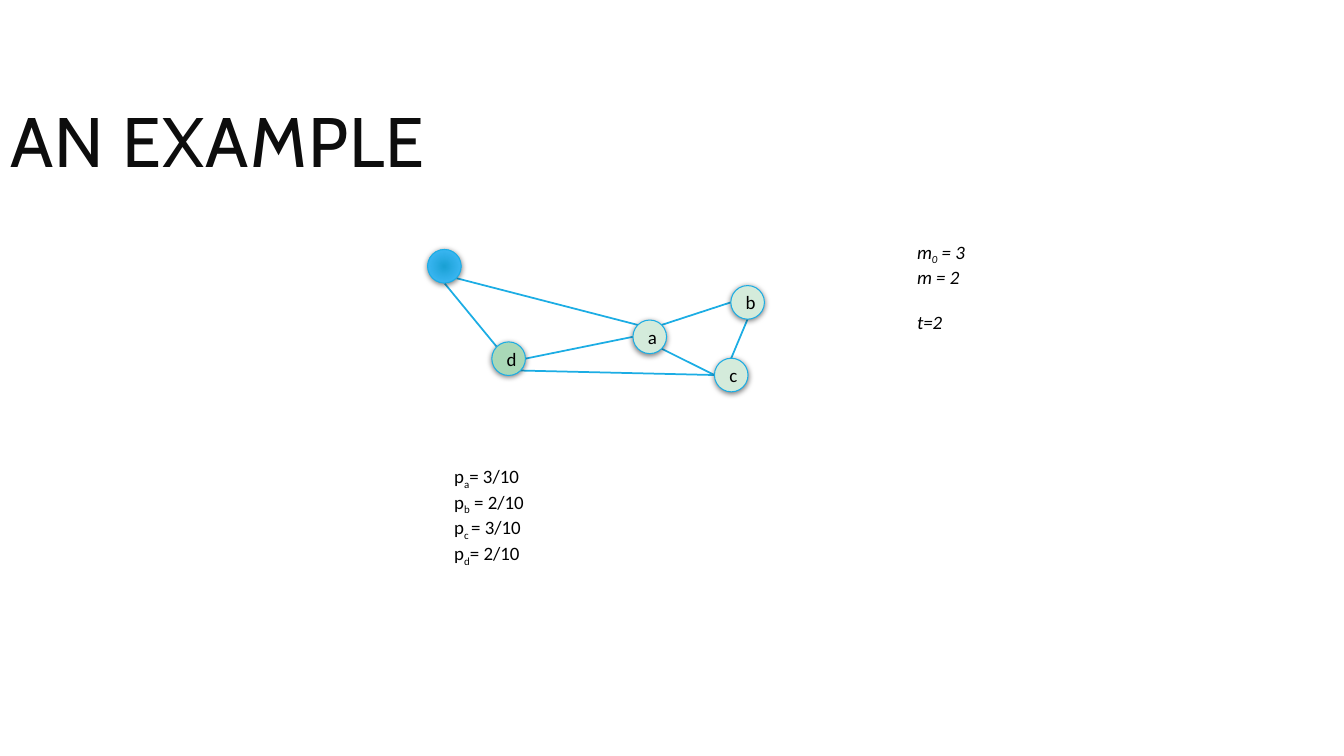
import math

from lxml import etree
from pptx import Presentation
from pptx import util as u
from pptx.dml.color import RGBColor
from pptx.enum import shapes, text
from pptx.oxml import parse_xml
from pptx.oxml.ns import nsdecls, qn

COLS, ROWS = 160, 90
NODE_SIZE = 4
BLUE = "1CADE4"
PALE, GREEN = "D4EBDB", "A9D8B7"

# Angle of each point on a node's rim, clockwise from the right
RIM = {"right": 0, "lower right": 45, "bottom": 90, "left": 180,
       "upper left": 225, "top": 270, "upper right": 315}

# Node name: centre column, centre row, fill (None is the gradient)
NODES = {
    "a": (77.35, 40.1, PALE),
    "c": (87.05, 44.65, PALE),
    "b": (89, 36, PALE),
    "d": (60.55, 42.7, GREEN),
    "": (52.9, 31.7, None),
}
EDGES = [
    ("a", "upper right", "b", "left"),
    ("a", "lower right", "c", "left"),
    ("b", "bottom", "c", "top"),
    ("d", "right", "a", "left"),
    ("d", "lower right", "c", "left"),
    ("", "lower right", "a", "upper left"),
    ("", "bottom", "d", "upper left"),
]


def colour(hex_code):
    return RGBColor.from_string(hex_code)


def rim_point(name, side):
    x, y, _ = NODES[name]
    angle = math.radians(RIM[side])
    radius = NODE_SIZE / 2
    return x + radius * math.cos(angle), y + radius * math.sin(angle)


class GraphSlide:
    """A title-only slide laid out on a grid of COLS by ROWS square cells."""

    title_font, body_font, body_size = "Cabin", "Calibri", 13.5

    def __init__(self, prs):
        self.cell = prs.slide_width / COLS
        self.s = prs.slides.add_slide(prs.slide_layouts[5])

    def grid(self, *cells):
        return [u.Emu(round(n * self.cell)) for n in cells]

    def style(self, r, italic=None):
        r.font.name, r.font.size = self.body_font, u.Pt(self.body_size)
        r.font.color.rgb = colour("000000")
        r.font.italic = italic

    def title(self, words, *box):
        sp = self.s.shapes.title
        sp.left, sp.top, sp.width, sp.height = self.grid(*box)
        tf = sp.text_frame
        tf.text = words
        tf.word_wrap = True
        tf.auto_size = text.MSO_AUTO_SIZE.NONE
        tf.vertical_anchor = text.MSO_ANCHOR.MIDDLE
        p = tf.paragraphs[0]
        p.alignment, p.line_spacing = text.PP_ALIGN.LEFT, 0.8
        r = p.runs[0]
        r.font.name, r.font.size = self.title_font, u.Pt(50)
        r.font.color.rgb = colour("0D0D0D")
        r.font._element.set("spc", "100")

    def edge(self, start, end):
        line = self.s.shapes.add_connector(
            shapes.MSO_CONNECTOR.STRAIGHT, *self.grid(*start, *end))
        line.line.color.rgb = colour(BLUE)
        line.line.width = u.Pt(1.25)
        etree.SubElement(line._element.spPr, qn("a:effectLst"))

    def node(self, name, x, y, fill):
        half = NODE_SIZE / 2
        sp = self.s.shapes.add_shape(
            shapes.MSO_SHAPE.OVAL,
            *self.grid(x - half, y - half, NODE_SIZE, NODE_SIZE))
        if fill:
            sp.fill.solid()
            sp.fill.fore_color.rgb = colour(fill)
        else:
            self.radial_fill(sp, "1AA1D4", "48BFFF")
        sp.line.color.rgb = colour(BLUE)
        sp.line.width = u.Pt(0.75)
        self.soft_shadow(sp)
        if name:
            tf = sp.text_frame
            tf.text = name
            tf.vertical_anchor = text.MSO_ANCHOR.MIDDLE
            p = tf.paragraphs[0]
            p.alignment = text.PP_ALIGN.CENTER
            self.style(p.runs[0])

    def radial_fill(self, sp, first, last):
        sp.fill.gradient()
        for stop, hex_code in zip(sp.fill.gradient_stops, (first, last)):
            stop.color.rgb = colour(hex_code)
        grad = sp._element.spPr.find(qn("a:gradFill"))
        grad.replace(grad.find(qn("a:lin")), parse_xml(
            f'<a:path {nsdecls("a")} path="circle"><a:fillToRect '
            'l="100000" t="100000" r="100000" b="100000"/></a:path>'))

    def soft_shadow(self, sp):
        sp.shadow.inherit = False
        sp._element.spPr.find(qn("a:effectLst")).append(parse_xml(
            f'<a:outerShdw {nsdecls("a")} blurRad="{u.Pt(4)}" '
            f'dist="{u.Pt(1)}" dir="5400000" rotWithShape="0">'
            '<a:srgbClr val="000000"><a:alpha val="50000"/></a:srgbClr>'
            '</a:outerShdw>'))

    def formulas(self, lines, box, italic=None):
        """Add a text box; underscores enclose the subscript in a line."""
        tf = self.s.shapes.add_textbox(*self.grid(*box)).text_frame
        tf.word_wrap = True
        for i, line in enumerate(lines):
            p = tf.add_paragraph() if i else tf.paragraphs[0]
            for j, part in enumerate(line.split("_")):
                r = p.add_run()
                r.text = part
                self.style(r, italic)
                if j % 2:
                    r.font._element.set("baseline", "-25000")
        return tf


def main():
    prs = Presentation()
    prs.slide_width, prs.slide_height = u.Inches(13.333), u.Inches(7.5)
    page = GraphSlide(prs)
    page.title("AN EXAMPLE", 0, 7.7, 127.6, 19.7)
    for start, start_side, end, end_side in EDGES:
        page.edge(rim_point(start, start_side), rim_point(end, end_side))
    for name, (x, y, fill) in NODES.items():
        page.node(name, x, y, fill)
    settings = page.formulas(["m_0_ = 3", "m = 2", "t=2"],
                             (108, 28, 19.4, 12.1), italic=True)
    settings.paragraphs[-1].space_before = u.Pt(16)
    page.formulas(["p_a_= 3/10", "p_b_ = 2/10", "p_c _= 3/10", "p_d_= 2/10"],
                  (52.9, 54.7, 57.8, 12.1))
    prs.save("out.pptx")


if __name__ == "__main__":
    main()
